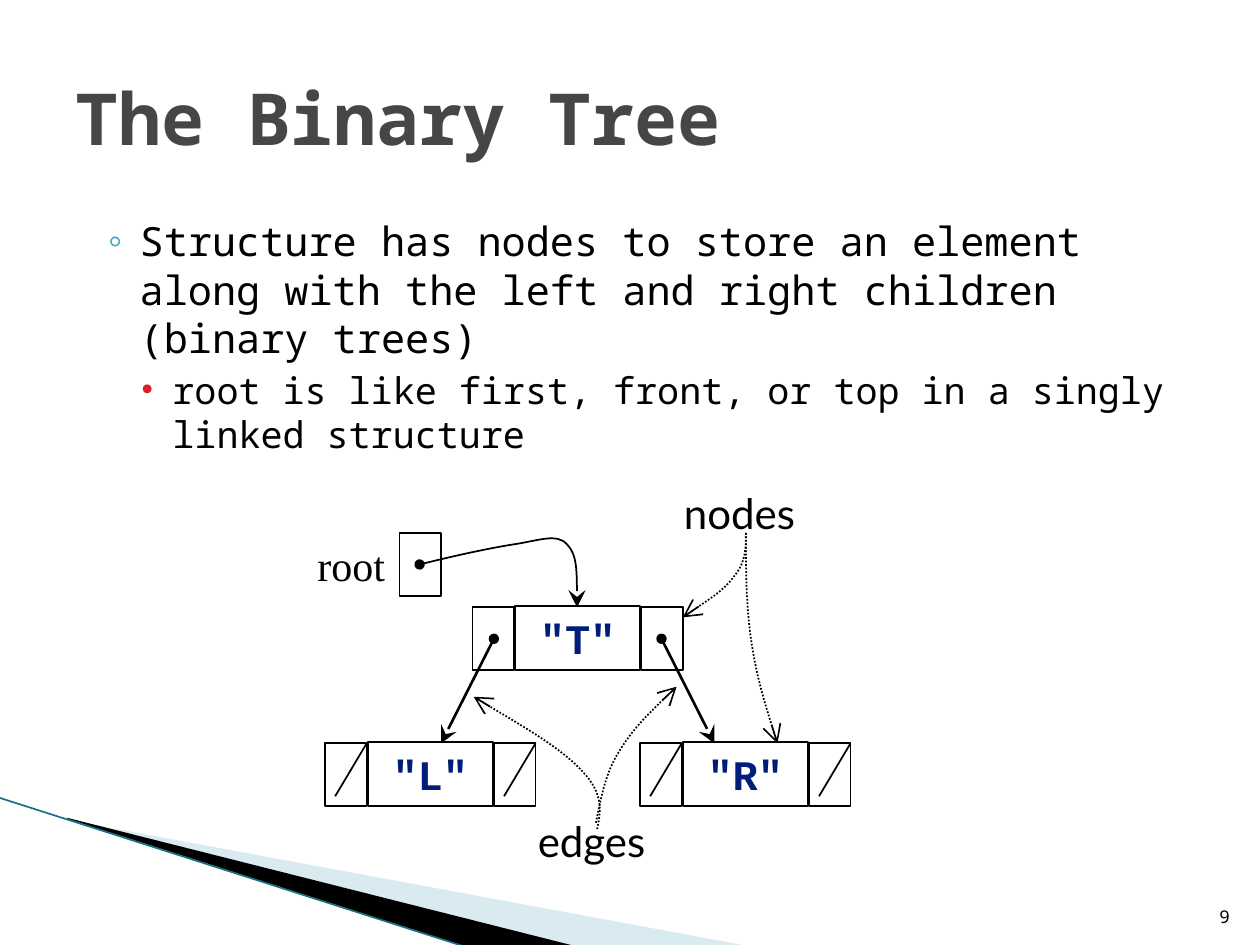
from lxml import etree
from pptx import Presentation
from pptx.dml.color import RGBColor
from pptx.enum.dml import MSO_LINE
from pptx.enum.shapes import MSO_CONNECTOR, MSO_SHAPE
from pptx.enum.text import MSO_ANCHOR, PP_ALIGN
from pptx.oxml.ns import qn
from pptx.util import Inches, Pt

STRAIGHT = MSO_CONNECTOR.STRAIGHT
RECTANGLE = MSO_SHAPE.RECTANGLE
DOTTED = MSO_LINE.ROUND_DOT
LEFT, CENTER, RIGHT = PP_ALIGN.LEFT, PP_ALIGN.CENTER, PP_ALIGN.RIGHT
TOP, MIDDLE, BOTTOM = MSO_ANCHOR.TOP, MSO_ANCHOR.MIDDLE, MSO_ANCHOR.BOTTOM

MONO, SERIF, SANS = "Noto Sans Mono", "Times New Roman", "Lato"
BLACK, WHITE, NAVY = "000000", "FFFFFF", "001D7A"
CELL_W, CELL_H = 0.33, 0.5
VALUE_W, VALUE_H = 0.99, 0.51
VALUE_OFFSET, RIGHT_CELL = 0.34, 1.34


def color(hex_code):
    return RGBColor.from_string(hex_code)


def write(frame, text, size=24, font=MONO, hex_code=BLACK, bold=False,
          align=LEFT, anchor=TOP, new_paragraph=False):
    frame.word_wrap = True
    frame.vertical_anchor = anchor
    paragraph = frame.add_paragraph() if new_paragraph else frame.paragraphs[0]
    paragraph.alignment = align
    run = paragraph.add_run()
    run.text = text
    run.font.size = Pt(size)
    run.font.name = font
    run.font.bold = bold
    run.font.color.rgb = color(hex_code)
    return paragraph


def add_text(slide, box, text, **text_format):
    frame = slide.shapes.add_textbox(*map(Inches, box)).text_frame
    write(frame, text, **text_format)


def set_bullet(paragraph, symbol, hex_code, indent, space_before):
    paragraph.space_before = Pt(space_before)
    properties = paragraph._p.get_or_add_pPr()
    properties.set("marL", str(Inches(indent)))
    properties.set("indent", str(Inches(-0.25)))
    bullet_color = etree.SubElement(properties, qn("a:buClr"))
    etree.SubElement(bullet_color, qn("a:srgbClr"), val=hex_code)
    etree.SubElement(properties, qn("a:buFont"), typeface=SERIF)
    etree.SubElement(properties, qn("a:buChar"), char=symbol)


def style_line(line, width=1, hex_code=BLACK, dash=None, head=None, tail=None):
    line.width = Pt(width)
    line.color.rgb = color(hex_code)
    if dash is not None:
        line.dash_style = dash
    if head:
        etree.SubElement(line._ln, qn("a:headEnd"), type=head)
    if tail:
        etree.SubElement(line._ln, qn("a:tailEnd"), type=tail, w="lg", len="lg")


def add_line(slide, start, end, **line_format):
    connector = slide.shapes.add_connector(STRAIGHT, *map(Inches, start + end))
    etree.SubElement(connector._element.spPr, qn("a:effectLst"))
    style_line(connector.line, **line_format)


def add_outline(slide, points, closed):
    emu = [(Inches(x), Inches(y)) for x, y in points]
    builder = slide.shapes.build_freeform(*emu[0])
    builder.add_line_segments(emu[1:], close=closed)
    outline = builder.convert_to_shape()
    outline.shadow.inherit = False
    return outline


def add_wedge(slide, points, hex_code, opacity=100):
    wedge = add_outline(slide, points, closed=True)
    wedge.fill.solid()
    wedge.fill.fore_color.rgb = color(hex_code)
    if opacity < 100:
        fill_color = wedge._element.spPr.find(".//" + qn("a:srgbClr"))
        etree.SubElement(fill_color, qn("a:alpha"), val=str(opacity * 1000))
    wedge.line.fill.background()


def add_curve(slide, knots, **line_format):
    """Draw joined cubic curves: a start, then two controls and an end for each."""
    curve = add_outline(slide, knots, closed=False)
    segments = list(curve._element.spPr.iter(qn("a:lnTo")))
    outline = segments[0].getparent()
    for first in range(0, len(segments), 3):
        cubic = etree.SubElement(outline, qn("a:cubicBezTo"))
        for segment in segments[first:first + 3]:
            cubic.append(segment[0])
            outline.remove(segment)
    curve.fill.background()
    style_line(curve.line, **line_format)


def add_box(slide, x, y, width, height, fill=None):
    box = slide.shapes.add_shape(RECTANGLE, *map(Inches, (x, y, width, height)))
    box.shadow.inherit = False
    if fill:
        box.fill.solid()
        box.fill.fore_color.rgb = color(fill)
    else:
        box.fill.background()
    style_line(box.line)
    return box


def add_node(slide, x, y, value, leaf=True):
    """Draw a value between two link cells; a leaf has both links struck out."""
    value_box = add_box(slide, x + VALUE_OFFSET, y - 0.01, VALUE_W, VALUE_H, WHITE)
    write(value_box.text_frame, f'"{value}"', font="Courier New",
          hex_code=NAVY, bold=True, align=CENTER)
    for cell_x in (x, x + RIGHT_CELL):
        add_box(slide, cell_x, y, CELL_W, CELL_H)
        if leaf:
            add_line(slide, (cell_x + CELL_W, y), (cell_x + 0.08, y + 0.42))


def add_background(slide):
    add_wedge(slide, [(0.55, 6.51), (5.95, 7.51), (4.56, 7.51), (0.55, 6.5)],
              "A0CBDC", 40)
    add_wedge(slide, [(0.53, 6.49), (4.57, 7.51), (3.72, 7.52), (0.54, 6.5)], BLACK)
    add_line(slide, (-0.01, 6.33), (3.71, 7.52), width=0.95, hex_code="1A7085")


def add_body(slide):
    frame = slide.shapes.add_textbox(*map(Inches, (0.33, 1.67, 9.42, 4.83))).text_frame
    structure = write(frame, "Structure has nodes to store an element along with the "
                             "left and right children (binary trees)", size=23)
    set_bullet(structure, "◦", "2DA2BF", 0.68, 3.2)
    root = write(frame, "root is like first, front, or top in a singly linked structure",
                 size=21, new_paragraph=True)
    set_bullet(root, "•", "DA1F28", 0.94, 3.5)


def add_tree(slide):
    add_node(slide, 3.75, 4.82, "T", leaf=False)
    add_node(slide, 5.08, 5.9, "R")
    add_node(slide, 2.58, 5.9, "L")
    for start_x, end_x in ((3.92, 3.5), (5.25, 5.67)):
        add_line(slide, (start_x, 5.07), (end_x, 5.9), width=1.5,
                 head="oval", tail="stealth")

    add_text(slide, (2.42, 4.23, 0.92, 0.5), "root", font=SERIF)
    add_box(slide, 3.17, 4.23, CELL_W, CELL_H)
    add_curve(slide, [(3.33, 4.48), (3.61, 4.41), (3.89, 4.35), (4.08, 4.32),
                      (4.28, 4.29), (4.42, 4.23), (4.5, 4.32),
                      (4.58, 4.4), (4.58, 4.61), (4.58, 4.82)],
              head="oval", tail="stealth")


def add_callouts(slide):
    add_text(slide, (4.17, 6.42, 1.5, 0.5), "edges", font=SANS)
    add_text(slide, (5.33, 3.82, 1.5, 0.5), "nodes", font=SANS)
    to_root_node = [(5.92, 4.23), (5.92, 4.35), (5.92, 4.46), (5.83, 4.57),
                    (5.75, 4.68), (5.58, 4.79), (5.42, 4.9)]
    to_right_node = [(5.92, 4.23), (5.92, 4.51), (5.92, 4.79), (5.96, 5.07),
                     (6, 5.35), (6.08, 5.62), (6.17, 5.9)]
    to_left_edge = [(4.74, 6.58), (4.77, 6.44), (4.79, 6.3), (4.63, 6.13),
                    (4.47, 5.95), (4.11, 5.74), (3.76, 5.53)]
    to_right_edge = [(4.73, 6.53), (4.77, 6.34), (4.8, 6.15), (4.91, 5.97),
                     (5.02, 5.79), (5.19, 5.62), (5.37, 5.45)]
    for pointer in (to_root_node, to_right_node, to_left_edge, to_right_edge):
        add_curve(slide, pointer, dash=DOTTED, tail="arrow")


def main():
    presentation = Presentation()
    presentation.slide_width, presentation.slide_height = Inches(10), Inches(7.5)
    slide = presentation.slides.add_slide(presentation.slide_layouts[6])
    add_background(slide)
    add_text(slide, (0.5, 0.3, 9, 1.25), "The Binary Tree", size=41,
             hex_code="464646", bold=True, anchor=MIDDLE)
    add_body(slide)
    add_tree(slide)
    add_callouts(slide)
    add_text(slide, (9.46, 7.01, 0.4, 0.4), "9", size=10, align=RIGHT, anchor=BOTTOM)
    presentation.save("out.pptx")


if __name__ == "__main__":
    main()
